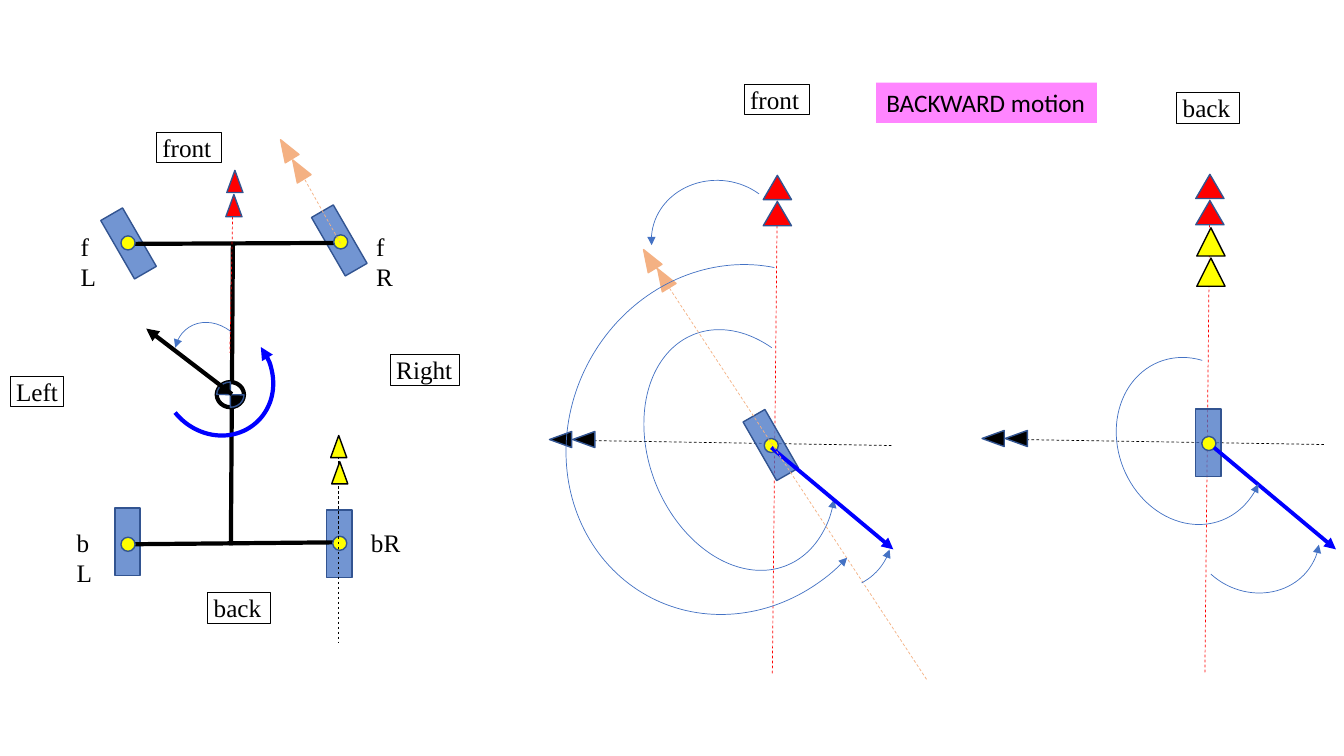
from lxml import etree
from pptx import Presentation
from pptx.dml.color import RGBColor
from pptx.enum import dml, shapes, text
from pptx.oxml import ns
from pptx.util import Inches, Pt

COLOURS = {
    "black": "000000", "white": "FFFFFF", "red": "FF0000", "yellow": "FFFF00",
    "peach": "F4B183", "accent": "4472C4", "outline": "325491",
    "blue": "0000FF", "pink": "FF85FF",
}
KIND = shapes.MSO_SHAPE
WHEEL = (0.25, 0.67)
HUB = (0.14, 0.14)
SLIM = (0.16, 0.22)
WIDE = (0.28, 0.24)
TALL = (0.28, 0.28)


def rgb(name):
    return RGBColor.from_string(COLOURS[name])


def set_line(line, colour, width):
    line.color.rgb = rgb(colour)
    line.width = Pt(width)


def add_arrowhead(element, end):
    """Put a triangle on the "headEnd" or "tailEnd" of an outline."""
    outline = element.spPr.find(ns.qn("a:ln"))
    etree.SubElement(outline, ns.qn(f"a:{end}"), type="triangle")


def add_shape(page, kind, spot, size, fill=None, line="outline", width=1, turn=0):
    shape = page.shapes.add_shape(kind, *map(Inches, spot + size))
    shape.shadow.inherit = False
    shape.rotation = turn
    if fill:
        shape.fill.solid()
        shape.fill.fore_color.rgb = rgb(fill)
    else:
        shape.fill.background()
    set_line(shape.line, line, width)
    return shape


def add_wheel(page, spot, turn=0):
    wheel = add_shape(page, KIND.RECTANGLE, spot, WHEEL, "accent", turn=turn)
    colour = wheel._element.spPr.find(ns.qn("a:solidFill"))[0]
    etree.SubElement(colour, ns.qn("a:alpha"), val="75000")


def add_hub(page, spot):
    add_shape(page, KIND.OVAL, spot, HUB, "yellow")


def add_triangles(page, spots, size, fill, line="outline", turn=0):
    for spot in spots:
        add_shape(page, KIND.ISOSCELES_TRIANGLE, spot, size, fill, line, turn=turn)


def add_arc(page, spot, size, turn, angles, colour="accent", width=0.5):
    """Draw an arc with an arrowhead where it starts."""
    arc = add_shape(page, KIND.ARC, spot, size, None, colour, width, turn)
    arc.adjustments[0], arc.adjustments[1] = angles
    add_arrowhead(arc._element, "headEnd")


def add_line(page, start, end, colour="black", width=3.0, dashed=False, arrow=False):
    line = page.shapes.add_connector(
        shapes.MSO_CONNECTOR.STRAIGHT, *map(Inches, start + end))
    set_line(line.line, colour, width)
    if dashed:
        line.line.dash_style = dml.MSO_LINE.DASH
    if arrow:
        add_arrowhead(line._element, "tailEnd")
    etree.SubElement(line._element.spPr, ns.qn("a:effectLst"))


def add_dashes(page, start, end, colour):
    add_line(page, start, end, colour, 0.5, dashed=True)


def add_label(page, words, spot, width, boxed=True):
    box = page.shapes.add_textbox(*map(Inches, spot + (width, 0.3)))
    frame = box.text_frame
    frame.word_wrap = True
    frame.margin_left = Inches(0.06 if boxed else 0)
    frame.margin_top = frame.margin_right = frame.margin_bottom = 0
    if boxed:
        set_line(box.line, "black", 0.5)
    para = frame.paragraphs[0]
    para.text = words
    para.font.name = "Times New Roman"
    para.font.size = Pt(18)
    para.font.color.rgb = rgb("black")


def add_title(page):
    title = page.shapes.title
    title.left, title.top = Inches(8.69), Inches(0.82)
    title.width, title.height = Inches(2.19), Inches(0.4)
    title.fill.solid()
    title.fill.fore_color.rgb = rgb("pink")
    frame = title.text_frame
    frame.word_wrap = False
    frame.auto_size = text.MSO_AUTO_SIZE.NONE
    frame.vertical_anchor = text.MSO_ANCHOR.MIDDLE
    para = frame.paragraphs[0]
    para.text = "BACKWARD motion"
    para.alignment = text.PP_ALIGN.LEFT
    para.line_spacing = 1
    para.font.name = "Calibri"
    para.font.size = Pt(18)
    para.font.color.rgb = rgb("black")


def add_vehicle(page):
    for spot, turn in (((1.15, 2.08), 330), ((3.24, 5.06), 0),
                       ((1.14, 5.04), 0), ((3.24, 2.05), 330)):
        add_wheel(page, spot, turn)
    add_line(page, (2.31, 2.4), (2.29, 5.41))
    add_line(page, (3.37, 5.38), (1.24, 5.4))
    add_line(page, (3.38, 2.41), (1.26, 2.42))

    centre, size = (2.15, 3.79), (0.27, 0.25)
    add_shape(page, KIND.OVAL, centre, size, "white", "black", 3)
    for turn in (0, 180):
        quarter = add_shape(page, KIND.PIE, centre, size, "black", turn=turn)
        quarter.adjustments[0], quarter.adjustments[1] = 108.53, 162

    add_line(page, (2.3, 3.91), (1.45, 3.26), arrow=True)
    add_arc(page, (1.75, 3.18), (0.7, 0.83), 326.8, (141.09, 201))
    for spot in ((1.2, 5.33), (3.3, 5.32), (1.2, 2.34), (3.31, 2.33)):
        add_hub(page, spot)
    add_arc(page, (1.62, 3.18), (1.07, 1.16), 139.1, (110.77, 1.45), "blue", 3)

    add_dashes(page, (2.31, 2), (2.28, 3.5), "red")
    add_triangles(page, ((2.25, 1.69), (2.24, 1.93)), SLIM, "red")
    add_dashes(page, (3, 1.74), (3.38, 2.42), "peach")
    add_triangles(page, ((2.88, 1.57), (2.76, 1.37)), SLIM, "peach", "peach", 328.6)
    add_dashes(page, (3.36, 4.38), (3.36, 6.38), "black")
    add_triangles(page, ((3.28, 4.32), (3.29, 4.58)), SLIM, "yellow", "black")


def add_axes(page, dx=0.0, dy=0.0):
    """Draw the red and black reference axes of one wheel diagram."""
    add_dashes(page, (7.71 + dx, 1.94 + dy), (7.66 + dx, 6.7 + dy), "red")
    add_triangles(page, [(7.57 + dx, top + dy) for top in (1.74, 2)], WIDE, "red")
    add_dashes(page, (5.79 + dx, 4.37 + dy), (8.84 + dx, 4.42 + dy), "black")
    add_triangles(page, [(left + dx, 4.25 + dy) for left in (5.48, 5.71)],
                  SLIM, "black", turn=270)


def add_velocity(page, start, end):
    add_line(page, start, end, "blue", 2.75, arrow=True)


def add_front_wheel(page):
    add_axes(page)
    add_arc(page, (6.44, 3.23), (1.8, 2.47), 338.1, (29.81, 185.49))
    add_wheel(page, (7.52, 4.08), 330.2)
    add_hub(page, (7.58, 4.35))
    add_velocity(page, (7.65, 4.44), (8.86, 5.45))
    add_dashes(page, (6.45, 2.57), (9.19, 6.74), "peach")
    add_triangles(page, ((6.36, 2.46), (6.5, 2.65)), SLIM, "peach", "peach", 328.6)
    add_arc(page, (6.52, 1.73), (1.2, 1.32), 94.7, (48.95, 129.92))
    add_arc(page, (5.5, 2.74), (3.53, 3.24), 297.1, (65.27, 207.94))
    add_arc(page, (7.6, 4.58), (1.2, 1.32), 297.1, (48.95, 72.22))


def add_back_wheel(page):
    add_axes(page, 4.29, -0.01)
    add_wheel(page, (11.86, 4.06))
    add_hub(page, (11.92, 4.33))
    add_velocity(page, (12.04, 4.44), (13.25, 5.45))
    add_triangles(page, ((11.87, 2.26), (11.87, 2.56)), TALL, "yellow", "black")
    add_arc(page, (11.09, 3.53), (1.44, 1.69), 338.1, (32.66, 180.03))
    add_arc(page, (11.84, 4.61), (1.2, 1.32), 297.1, (44.8, 119))


def main():
    deck = Presentation()
    deck.slide_width, deck.slide_height = Inches(13.33), Inches(7.5)
    page = deck.slides.add_slide(deck.slide_layouts[5])
    add_title(page)
    add_vehicle(page)
    add_front_wheel(page)
    add_back_wheel(page)
    for words, spot, width in (
            ("front", (1.55, 1.31), 0.65), ("back", (2.06, 5.88), 0.62),
            ("Right", (3.87, 3.52), 0.69), ("Left", (0.1, 3.73), 0.53),
            ("front", (7.38, 0.84), 0.65), ("back", (11.67, 0.92), 0.62)):
        add_label(page, words, spot, width)
    for words, spot, width in (
            ("fR", (3.73, 2.29), 0.23), ("fL", (0.8, 2.29), 0.21),
            ("bL", (0.76, 5.23), 0.27), ("bR", (3.68, 5.23), 0.3)):
        add_label(page, words, spot, width, boxed=False)
    deck.save("out.pptx")


if __name__ == "__main__":
    main()
